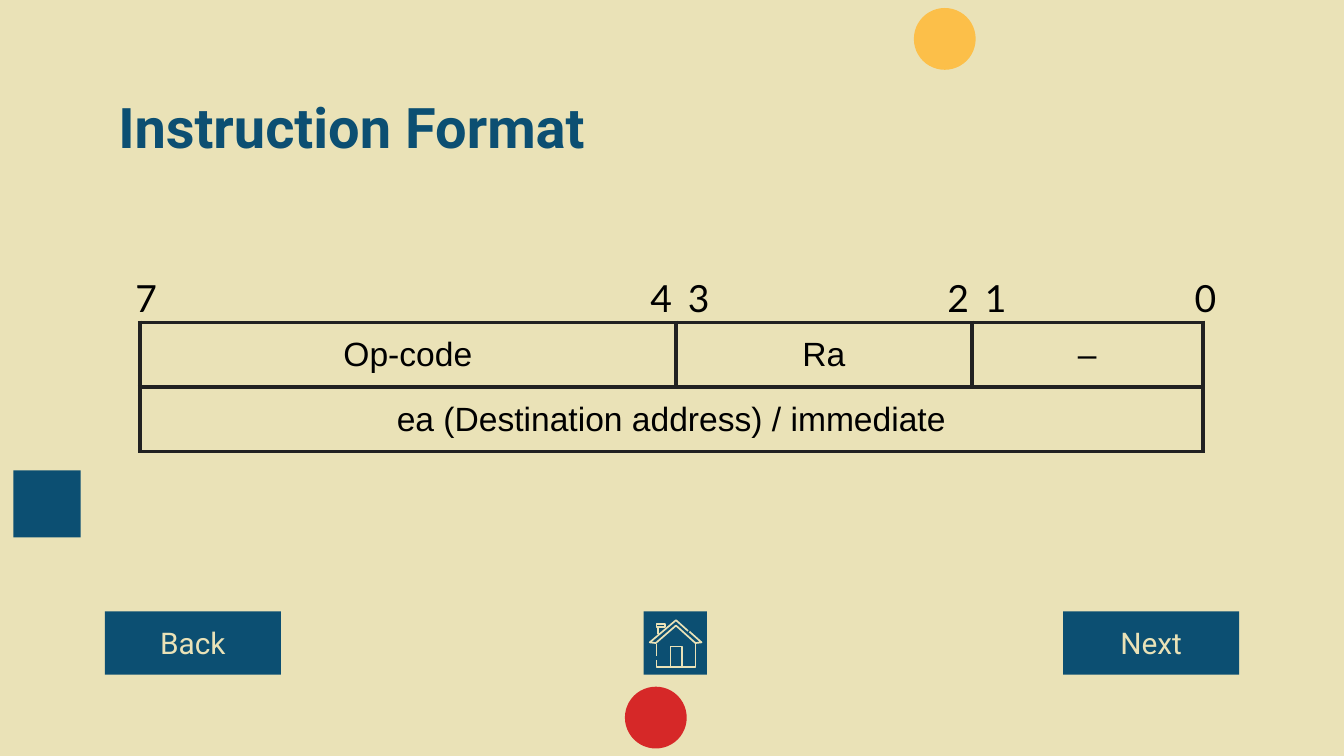
from lxml.etree import SubElement
from pptx import Presentation
from pptx.dml.color import RGBColor
from pptx.enum.shapes import MSO_CONNECTOR, MSO_SHAPE
from pptx.enum.text import MSO_ANCHOR, PP_ALIGN
from pptx.oxml import parse_xml
from pptx.oxml.ns import nsdecls, qn
from pptx.util import Inches, Pt

CREAM, NAVY, AMBER, RED = "EAE2B7", "0C4F72", "FCBF49", "D62828"
BLACK, BORDER = "000000", "212121"


def color(value):
    """Turn a hex string into a colour."""
    return RGBColor.from_string(value)


def style(paragraph, name, size, tint, align=None, bold=False):
    """Set the font and alignment of a paragraph."""
    paragraph.alignment = align
    font = paragraph.font
    font.name, font.size, font.bold = name, Pt(size), bold
    font.color.rgb = color(tint)


def set_insets(frame):
    """Give a text frame equal insets and wrapping."""
    frame.word_wrap = True
    frame.margin_left = frame.margin_right = Inches(0.1)
    frame.margin_top = frame.margin_bottom = Inches(0.1)


def add_block(page, kind, left, top, width, height, fill):
    """Add a plain filled shape without outline."""
    block = page.shapes.add_shape(
        kind, Inches(left), Inches(top), Inches(width), Inches(height))
    block.shadow.inherit = False
    block.fill.solid()
    block.fill.fore_color.rgb = color(fill)
    block.line.fill.background()
    return block


def add_decorations(page):
    """Add the square and the two dots around the slide."""
    add_block(page, MSO_SHAPE.RECTANGLE, 0.1, 3.5, 0.5, 0.5, NAVY)
    add_block(page, MSO_SHAPE.OVAL, 6.8, 0.06, 0.46, 0.46, AMBER)
    add_block(page, MSO_SHAPE.OVAL, 4.65, 5.11, 0.46, 0.46, RED)


def add_title(page, left, top, width, height):
    """Place and format the title placeholder."""
    title = page.shapes.title
    title.left, title.top = Inches(left), Inches(top)
    title.width, title.height = Inches(width), Inches(height)
    frame = title.text_frame
    frame.text = "Instruction Format"
    set_insets(frame)
    frame.vertical_anchor = MSO_ANCHOR.TOP
    style(frame.paragraphs[0], "Roboto", 30, NAVY, PP_ALIGN.LEFT, True)


def add_borders(cell):
    """Draw the four borders of a table cell."""
    properties = cell._tc.get_or_add_tcPr()
    for index, side in enumerate("LRTB"):
        properties.insert(index, parse_xml(
            f'<a:ln{side} {nsdecls("a")} w="{Pt(2.25)}"><a:solidFill>'
            f'<a:srgbClr val="{BORDER}"/></a:solidFill></a:ln{side}>'))


def add_format_table(page, left, top):
    """Add the table of instruction fields."""
    widths, row_height = (3.99, 2.2, 1.72), 0.42
    rows = (("Op-code", "Ra", "–"),
            ("ea (Destination address) / immediate", "", ""))
    table = page.shapes.add_table(
        len(rows), len(widths), Inches(left), Inches(top),
        Inches(sum(widths)), Inches(row_height * len(rows))).table
    table.first_row = table.horz_banding = False
    for column, width in zip(table.columns, widths):
        column.width = Inches(width)
    for row, texts in zip(table.rows, rows):
        row.height = Inches(row_height)
        for cell, text in zip(row.cells, texts):
            cell.text = text
            cell.margin_left = cell.margin_right = Inches(0.1)
            cell.margin_top = cell.margin_bottom = Inches(0.1)
            cell.fill.background()
            add_borders(cell)
            style(cell.text_frame.paragraphs[0], "Arial", 18, BLACK, PP_ALIGN.CENTER)
    table.cell(1, 0).merge(table.cell(1, 2))


def add_bit_numbers(page, top):
    """Number the bits at the ends of each field."""
    bits = {"7": 0.91, "4": 4.74, "3": 5.02, "2": 6.95, "1": 7.23, "0": 8.79}
    for bit, left in bits.items():
        box = page.shapes.add_textbox(
            Inches(left), Inches(top), Inches(0.43), Inches(0.54))
        box.text_frame.text = bit
        set_insets(box.text_frame)
        style(box.text_frame.paragraphs[0], "Lato", 20, BLACK)


def add_button(page, left, top, text):
    """Add a navigation button with a label."""
    button = add_block(page, MSO_SHAPE.RECTANGLE, left, top, 1.31, 0.47, NAVY)
    frame = button.text_frame
    frame.text = text
    set_insets(frame)
    frame.vertical_anchor = MSO_ANCHOR.MIDDLE
    style(frame.paragraphs[0], "Roboto", 16, CREAM, PP_ALIGN.CENTER)


def add_home_button(page, left, top):
    """Add the home button with its line-drawn house."""
    add_block(page, MSO_SHAPE.RECTANGLE, left, top, 0.47, 0.47, NAVY)
    unit = Inches(0.005)
    x, y = Inches(left), Inches(top)
    roof = [(68, 30), (86, 46), (77, 47), (48, 21),
            (18, 47), (9, 46), (48, 13), (66, 29)]
    walls = [(19, 72), (19, 83), (77, 83), (77, 48)]
    door = [(40, 83), (40, 52), (57, 52), (57, 83)]
    chimney_cap = [(19, 19), (32, 19), (32, 23), (19, 23), (19, 19)]
    strokes = []
    for points in (roof, walls, door, chimney_cap):
        builder = page.shapes.build_freeform(*points[0], scale=unit)
        builder.add_line_segments(points[1:], close=False)
        outline = builder.convert_to_shape(x, y)
        outline.shadow.inherit = False
        outline.fill.background()
        strokes.append(outline)
    for across, start, end in ((19, 48, 67), (21, 24, 34)):
        stroke = page.shapes.add_connector(
            MSO_CONNECTOR.STRAIGHT, x + across * unit, y + start * unit,
            x + across * unit, y + end * unit)
        SubElement(stroke._element.spPr, qn("a:effectLst"))
        strokes.append(stroke)
    for stroke in strokes:
        stroke.line.color.rgb = color(CREAM)
        stroke.line.width = Pt(0.9)


def add_navigation(page, top):
    """Add the row of navigation buttons."""
    add_button(page, 0.78, top, "Back")
    add_home_button(page, 4.79, top)
    add_button(page, 7.91, top, "Next")


def main():
    """Build and save the slide."""
    deck = Presentation()
    deck.slide_width = Inches(10)
    deck.slide_height = deck.slide_width * 9 // 16
    page = deck.slides.add_slide(deck.slide_layouts[5])
    page.background.fill.solid()
    page.background.fill.fore_color.rgb = color(CREAM)
    add_decorations(page)
    add_title(page, 0.78, 0.59, 8.44, 0.63)
    add_format_table(page, 1.04, 2.4)
    add_bit_numbers(page, 1.95)
    add_navigation(page, 4.55)
    deck.save("out.pptx")


if __name__ == "__main__":
    main()
